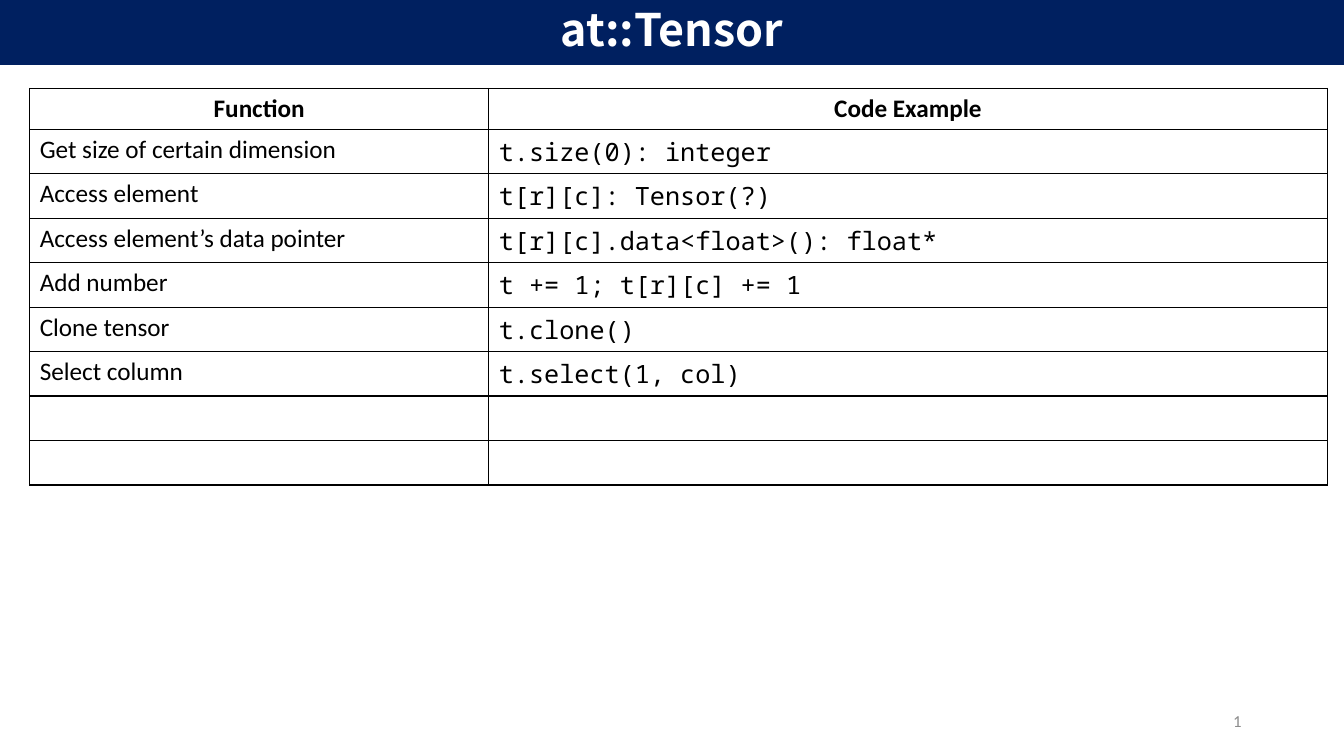
from lxml import etree
from pptx import Presentation
from pptx.dml.color import RGBColor
from pptx.enum.shapes import MSO_SHAPE
from pptx.enum.text import MSO_ANCHOR, MSO_AUTO_SIZE, PP_ALIGN
from pptx.oxml.ns import qn
from pptx.util import Pt

NAVY = RGBColor(0x00, 0x20, 0x60)
WHITE = RGBColor(0xFF, 0xFF, 0xFF)
BLACK = RGBColor(0x00, 0x00, 0x00)
GRAY = RGBColor(0x8C, 0x8C, 0x8C)

BODY, CODE, HEADING = "Calibri", "Noto Sans Mono", "Noto Sans CJK SC"
WIDTH, HEIGHT = 960, 540
HEADER_HEIGHT, ROW_HEIGHT = 29.2, 31.75

HEADERS = ("Function", "Code Example")
FUNCTIONS = [
    ("Get size of certain dimension", "t.size(0): integer"),
    ("Access element", "t[r][c]: Tensor(?)"),
    ("Access element’s data pointer", "t[r][c].data<float>(): float*"),
    ("Add number", "t += 1; t[r][c] += 1"),
    ("Clone tensor", "t.clone()"),
    ("Select column", "t.select(1, col)"),
    ("", ""),
    ("", ""),
]


class SlideBuilder:
    def __init__(self, prs):
        self.s = prs.slides.add_slide(prs.slide_layouts[5])
        self.text_style = {"name": BODY, "size": Pt(18), "bold": False}

    def put_text(self, tf, text, color=BLACK, align=PP_ALIGN.LEFT, **style):
        p = tf.paragraphs[0]
        p.alignment = align
        style = {**self.text_style, **style}
        if not text:
            p.font.size = style["size"]
            return p
        r = p.add_run()
        r.text = text
        for key, value in style.items():
            setattr(r.font, key, value)
        r.font.color.rgb = color
        return p

    def bar(self, x, y, w, h, color):
        """Add a filled band behind everything else."""
        sp = self.s.shapes.add_shape(MSO_SHAPE.RECTANGLE, Pt(x), Pt(y), Pt(w), Pt(h))
        sp.shadow.inherit = False
        sp.fill.solid()
        sp.fill.fore_color.rgb = color
        sp.line.fill.background()
        self.s.shapes._spTree.insert(2, sp._element)

    def title(self, text, x, y, w, h):
        sp = self.s.shapes.title
        sp.left, sp.top, sp.width, sp.height = Pt(x), Pt(y), Pt(w), Pt(h)
        tf = sp.text_frame
        frame = {"margin_top": 0, "margin_bottom": 0, "word_wrap": True,
                 "vertical_anchor": MSO_ANCHOR.MIDDLE, "auto_size": MSO_AUTO_SIZE.NONE}
        for key, value in frame.items():
            setattr(tf, key, value)
        p = self.put_text(tf, text, WHITE, PP_ALIGN.CENTER,
                          name=HEADING, size=Pt(32), bold=True)
        p.line_spacing = 0.9

    def slide_number(self, number, x, y, w, h):
        tf = self.s.shapes.add_textbox(Pt(x), Pt(y), Pt(w), Pt(h)).text_frame
        tf.word_wrap = True
        tf.vertical_anchor = MSO_ANCHOR.MIDDLE
        p = self.put_text(tf, str(number), GRAY, PP_ALIGN.RIGHT, size=Pt(12))
        field = p.runs[0]._r
        field.tag = qn("a:fld")
        field.set("id", "{B6F15528-21DE-4FAA-801E-634DDDAF4B2B}")
        field.set("type", "slidenum")

    def borders(self, cell, color=BLACK, width=1):
        tc_pr = cell._tc.get_or_add_tcPr()
        for i, side in enumerate(("lnL", "lnR", "lnT", "lnB")):
            ln = etree.Element(qn(f"a:{side}"), w=str(Pt(width)))
            fill = etree.SubElement(ln, qn("a:solidFill"))
            etree.SubElement(fill, qn("a:srgbClr"), val=str(color))
            tc_pr.insert(i, ln)

    def table(self, headers, rows, x, y, col_widths):
        height = HEADER_HEIGHT + ROW_HEIGHT * len(rows)
        tbl = self.s.shapes.add_table(len(rows) + 1, len(headers), Pt(x), Pt(y),
                                      Pt(sum(col_widths)), Pt(height)).table
        tbl.first_row = tbl.horz_banding = False
        for col, width in zip(tbl.columns, col_widths):
            col.width = Pt(width)
        for i, values in enumerate([headers, *rows]):
            tbl.rows[i].height = Pt(ROW_HEIGHT if i else HEADER_HEIGHT)
            for j, text in enumerate(values):
                cell = tbl.cell(i, j)
                cell.fill.background()
                self.borders(cell)
                if i == 0:
                    self.put_text(cell.text_frame, text, align=PP_ALIGN.CENTER, bold=True)
                else:
                    self.put_text(cell.text_frame, text, name=CODE if j else BODY)


def main():
    prs = Presentation()
    prs.slide_width, prs.slide_height = Pt(WIDTH), Pt(HEIGHT)
    slide = SlideBuilder(prs)
    slide.bar(0, 0, WIDTH, 46.4, NAVY)
    slide.title("at::Tensor", 0, 2, WIDTH, 41.8)
    slide.table(HEADERS, FUNCTIONS, 21.2, 63.2, (327.9, 599))
    slide.slide_number(1, 678, 500.5, 216, 28.8)
    prs.save("out.pptx")


if __name__ == "__main__":
    main()
